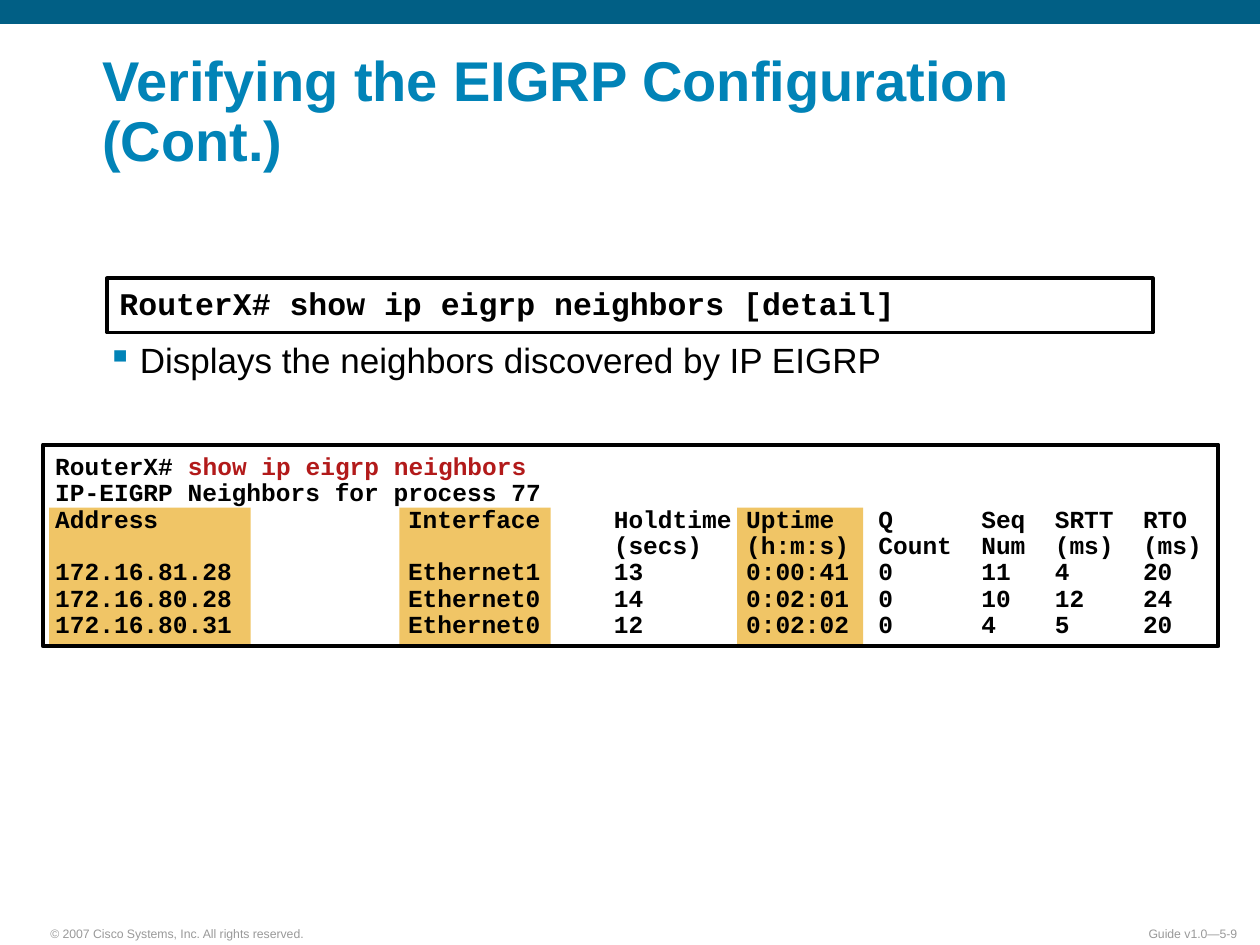
import pptx
import pptx.util
import pptx.dml.color
import pptx.enum.shapes
import pptx.enum.text
from lxml import etree

Inches = pptx.util.Inches
Pt = pptx.util.Pt
RGB = pptx.dml.color.RGBColor
Anchor = pptx.enum.text.MSO_ANCHOR
Align = pptx.enum.text.PP_ALIGN
NS = "{http://schemas.openxmlformats.org/drawingml/2006/main}"

NAVY = RGB(0x01, 0x5F, 0x85)
BLUE = RGB(0x01, 0x83, 0xB7)
GOLD = RGB(0xF0, 0xC5, 0x66)
RED = RGB(0xB2, 0x1A, 0x1A)
GRAY = RGB(0x99, 0x99, 0x99)
BLACK = RGB(0, 0, 0)

SANS, MONO = "Arial", "Courier New"
CHAR = 14 * 0.6 / 72  # width of one 14 pt monospaced character, in inches
STOPS = (24, 38, 47, 56, 63, 68, 74)  # columns of the listing, in characters

ROWS = (
    ("Address", "Interface", "Holdtime", "Uptime", "Q", "Seq", "SRTT", "RTO"),
    ("", "", "(secs)", "(h:m:s)", "Count", "Num", "(ms)", "(ms)"),
    ("172.16.81.28", "Ethernet1", "13", "0:00:41", "0", "11", "4", "20"),
    ("172.16.80.28", "Ethernet0", "14", "0:02:01", "0", "10", "12", "24"),
    ("172.16.80.31", "Ethernet0", "12", "0:02:02", "0", "4", "5", "20"),
)


def add_rect(slide, x, y, w, h, fill=None):
    """Filled block, or a black frame when there is no fill."""
    kind = pptx.enum.shapes.MSO_SHAPE.RECTANGLE
    rect = slide.shapes.add_shape(kind, Inches(x), Inches(y), Inches(w), Inches(h))
    rect.shadow.inherit = False
    if fill is None:
        rect.fill.background()
        rect.line.color.rgb = BLACK
        rect.line.width = Pt(2.25)
    else:
        rect.fill.solid()
        rect.fill.fore_color.rgb = fill
        rect.line.fill.background()
    return rect


def set_frame(shape, side, edge, wrap=True, anchor=Anchor.TOP):
    frame = shape.text_frame
    frame.margin_left = frame.margin_right = Inches(side)
    frame.margin_top = frame.margin_bottom = Inches(edge)
    frame.word_wrap = wrap
    frame.vertical_anchor = anchor
    return frame


def add_box(slide, x, y, w, h, side=0.09, edge=0.04, **opts):
    box = slide.shapes.add_textbox(Inches(x), Inches(y), Inches(w), Inches(h))
    return set_frame(box, side, edge, **opts)


def add_run(para, text, size, color=BLACK, face=SANS, bold=False):
    run = para.add_run()
    run.text = text
    run.font.size = Pt(size)
    run.font.name = face
    run.font.bold = bold
    run.font.color.rgb = color


def set_tabs(para):
    tabs = etree.SubElement(para._p.get_or_add_pPr(), NS + "tabLst")
    for stop in STOPS:
        etree.SubElement(tabs, NS + "tab", pos=str(Inches(stop * CHAR)), algn="l")


def set_bullet(para, char, color, indent):
    props = para._p.get_or_add_pPr()
    props.set("marL", str(Inches(indent)))
    props.set("indent", str(-Inches(indent)))
    tint = etree.SubElement(props, NS + "buClr")
    etree.SubElement(tint, NS + "srgbClr", val=str(color))
    etree.SubElement(props, NS + "buChar", char=char)


def add_footer(slide, x, w, text, align):
    para = add_box(slide, x, 7.3, w, 0.21, wrap=False, anchor=Anchor.BOTTOM).paragraphs[0]
    para.alignment = align
    add_run(para, text, 7, GRAY)


def add_title(slide, text):
    para = add_box(slide, 0.72, 0.5, 8.91, 0.92, anchor=Anchor.BOTTOM).paragraphs[0]
    para.line_spacing = 0.9
    add_run(para, text, 32, BLUE, bold=True)


def add_syntax(slide, text):
    para = set_frame(add_rect(slide, 0.85, 2.21, 8.3, 0.43), 0.1, 0.05).paragraphs[0]
    para.alignment = Align.LEFT
    para.line_spacing = Pt(21.4)
    add_run(para, text, 18, face=MONO, bold=True)


def add_point(slide, text):
    para = add_box(slide, 0.85, 2.71, 6.15, 0.32, 0, 0, wrap=False).paragraphs[0]
    set_bullet(para, "▪", BLUE, 0.26)
    para.line_spacing = 0.95
    add_run(para, text, 20)


def add_listing(slide):
    # Highlighted columns lie behind the frame
    for x, w in ((5.85, 1), (3.17, 1.2), (0.39, 1.6)):
        add_rect(slide, x, 4.03, w, 1.1, GOLD)

    frame = set_frame(add_rect(slide, 0.34, 3.53, 9.33, 1.6), 0.1, 0.05)
    frame.margin_right = 0
    head = frame.paragraphs[0]
    head.alignment = Align.LEFT
    add_run(head, "RouterX# ", 14, face=MONO, bold=True)
    add_run(head, "show ip eigrp neighbors", 14, RED, MONO, True)

    for cells in (("IP-EIGRP Neighbors for process 77",), *ROWS):
        para = frame.add_paragraph()
        set_tabs(para)
        para.alignment = Align.LEFT
        para.line_spacing = 0.9
        add_run(para, "\t".join(cells), 14, face=MONO, bold=True)


def main():
    deck = pptx.Presentation()
    deck.slide_width, deck.slide_height = Inches(10), Inches(7.5)
    slide = deck.slides.add_slide(deck.slide_layouts[6])

    # Top band and footers
    add_rect(slide, 0, 0, 10, 0.19, NAVY)
    add_footer(slide, 0.31, 2.2, "© 2007 Cisco Systems, Inc. All rights reserved.", Align.LEFT)
    add_footer(slide, 8.61, 1.3, "Guide v1.0—5-9", Align.RIGHT)

    # Command output, syntax, explanation and title
    add_listing(slide)
    add_syntax(slide, "RouterX# show ip eigrp neighbors [detail]")
    add_point(slide, "Displays the neighbors discovered by IP EIGRP")
    add_title(slide, "Verifying the EIGRP Configuration (Cont.)")

    deck.save("out.pptx")


if __name__ == "__main__":
    main()
